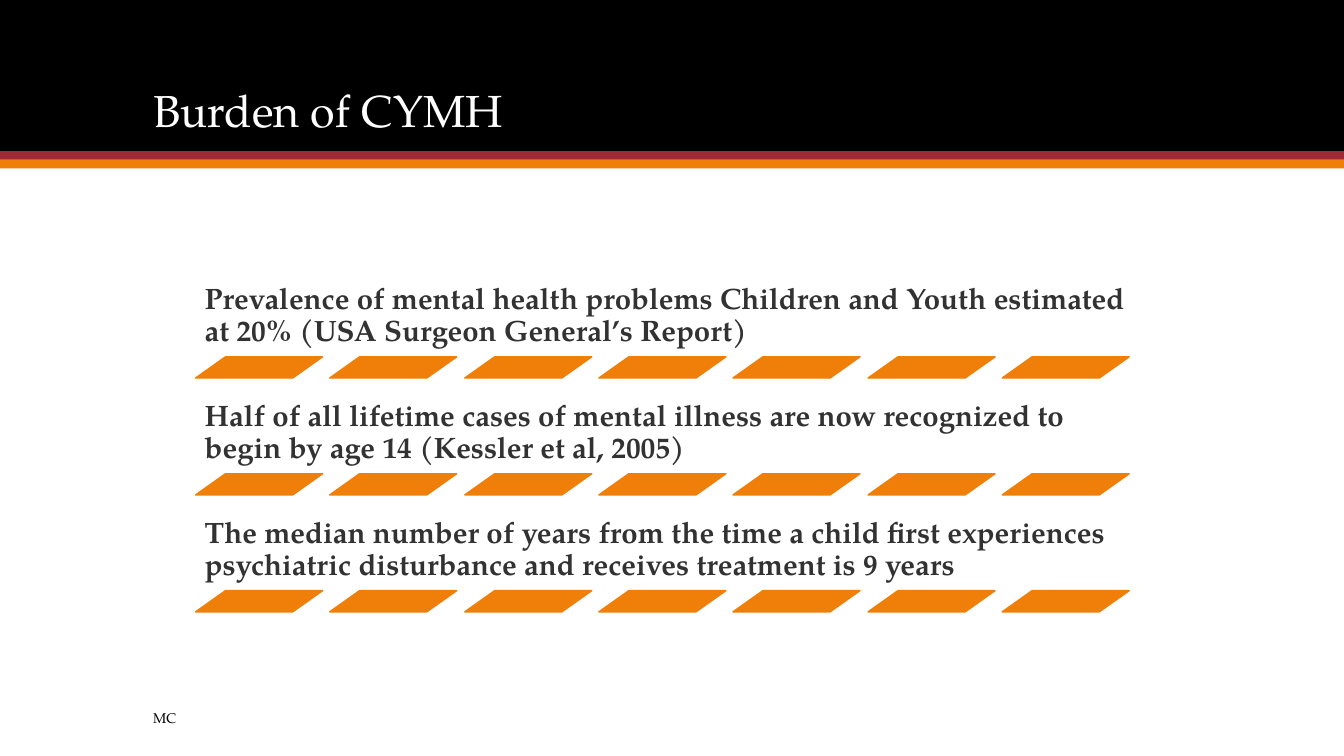
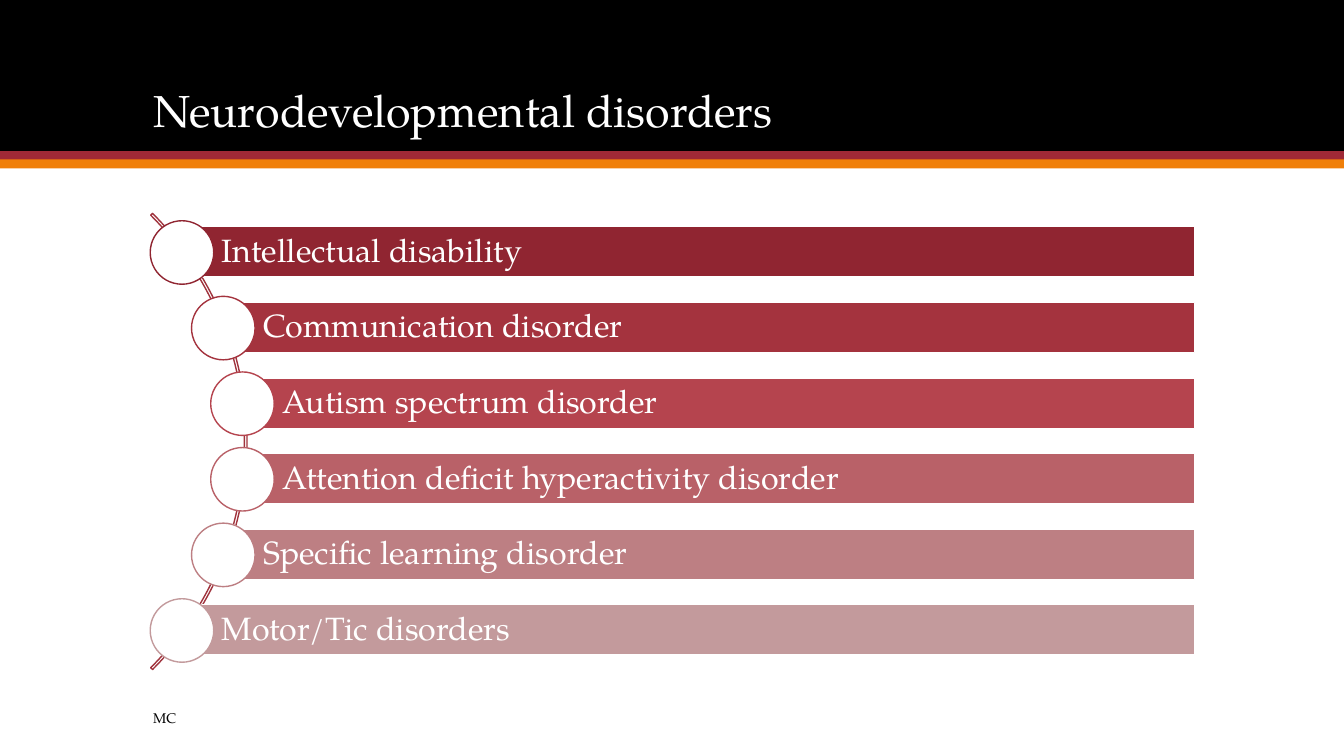
from pptx import Presentation
from pptx.dml.color import RGBColor
from pptx.enum.shapes import MSO_SHAPE
from pptx.enum.text import MSO_ANCHOR, MSO_AUTO_SIZE, PP_ALIGN
from pptx.util import Emu, Pt

EMU_PER_PX = 9144
SLIDE_WIDTH, SLIDE_HEIGHT = 1333, 750
FONT = "TeX Gyre Pagella"
COLORS = {
    "black": "000000",
    "white": "FFFFFF",
    "crimson": "9F2936",
    "orange": "F07F09",
    "body": "323232",
    "arc": "A0333D",
}

FINDINGS = [
    "Prevalence of mental health problems Children and Youth estimated "
    "at 20% (USA Surgeon General’s Report)",
    "Half of all lifetime cases of mental illness are now recognized to "
    "begin by age 14 (Kessler et al, 2005)",
    "The median number of years from the time a child first experiences "
    "psychiatric disturbance and receives treatment is 9 years",
]

# Label, left edge of the bar, bar colour
DISORDERS = [
    ("Intellectual disability", 180, "902531"),
    ("Communication disorder", 221, "A4333E"),
    ("Autism spectrum disorder", 240, "B5444E"),
    ("Attention deficit hyperactivity disorder", 240, "B96168"),
    ("Specific learning disorder", 221, "BD7F83"),
    ("Motor/Tic disorders", 180, "C39A9C"),
]


def px(length):
    return Emu(length * EMU_PER_PX)


def rgb(color):
    """Accept a name from COLORS or a hex string."""
    return RGBColor.from_string(COLORS.get(color, color))


def write_text(shape, text, *, size, color, bold=False, anchor=MSO_ANCHOR.MIDDLE,
               insets=(10, 5, 10, 5), line_spacing=0.9):
    """Fill a shape with one left-aligned paragraph; insets run left, top, right, bottom."""
    frame = shape.text_frame
    frame.auto_size = MSO_AUTO_SIZE.NONE
    frame.word_wrap = True
    frame.vertical_anchor = anchor
    frame.margin_left, frame.margin_top, frame.margin_right, frame.margin_bottom = map(px, insets)
    paragraph = frame.paragraphs[0]
    paragraph.alignment = PP_ALIGN.LEFT
    paragraph.line_spacing = line_spacing
    run = paragraph.add_run()
    run.text = text
    run.font.name = FONT
    run.font.size = Pt(size)
    run.font.bold = bold
    run.font.color.rgb = rgb(color)


def add_text(slide, box, text, **text_format):
    write_text(slide.shapes.add_textbox(*map(px, box)), text, **text_format)


def add_shape(slide, preset, box, *, fill=None, line=None, adjustments=()):
    shape = slide.shapes.add_shape(preset, *map(px, box))
    shape.shadow.inherit = False
    for index, value in enumerate(adjustments):
        shape.adjustments[index] = value
    if fill:
        shape.fill.solid()
        shape.fill.fore_color.rgb = rgb(fill)
    else:
        shape.fill.background()
    if line:
        shape.line.color.rgb = rgb(line)
        shape.line.width = Pt(1)
    else:
        shape.line.fill.background()
    return shape


def add_header_bands(slide):
    """Draw the bands and keep the title in front of them."""
    for top, height, color in [(0, 150, "black"), (150, 9, "crimson"), (158, 9, "orange")]:
        add_shape(slide, MSO_SHAPE.RECTANGLE, (0, top, SLIDE_WIDTH, height), fill=color)
    slide.shapes.element.append(slide.shapes.title.element)


def add_titled_slide(deck, heading):
    """Add a slide with the shared bands, title and footer."""
    slide = deck.slides.add_slide(deck.slide_layouts.get_by_name("Title Only"))
    add_header_bands(slide)
    title = slide.shapes.title
    title.left, title.top, title.width, title.height = map(px, (142, 28, 1050, 113))
    write_text(title, heading, size=32, color="white", anchor=MSO_ANCHOR.BOTTOM)
    add_text(slide, (142, 697, 683, 30), "MC", size=10, color="black", line_spacing=1.0)
    return slide


def add_finding(slide, top, finding):
    """Add a statement underlined by a row of slanted marks."""
    left, height, mark_count, marks_span = 194, 86, 7, 800
    add_text(slide, (left, top, 945, height), finding, size=21, color="body", bold=True,
             anchor=MSO_ANCHOR.BOTTOM, insets=(9, 9, 9, 9))
    for index in range(mark_count):
        mark_left = left + round(index * marks_span / (mark_count - 1))
        add_shape(slide, MSO_SHAPE.PARALLELOGRAM, (mark_left, top + height, 126, 21),
                  fill="orange", line="orange", adjustments=[1.41])


def add_disorder(slide, left, top, label, color):
    """Add a labelled bar with a circle on its left end."""
    right = 1185
    bar = add_shape(slide, MSO_SHAPE.RECTANGLE, (left, top, right - left, 50),
                    fill=color, line="white")
    write_text(bar, label, size=23, color="white", insets=(40, 6, 6, 6))
    add_shape(slide, MSO_SHAPE.OVAL, (left - 31, top - 6, 63, 63), fill="white", line=color)


def build_burden(deck):
    slide = add_titled_slide(deck, "Burden of CYMH")
    for index, finding in enumerate(FINDINGS):
        add_finding(slide, 268 + 116 * index, finding)


def build_disorders(deck):
    slide = add_titled_slide(deck, "Neurodevelopmental disorders")
    # The two angles are 315° and 45° in this scale; the third value is the thickness
    add_shape(slide, MSO_SHAPE.BLOCK_ARC, (-395, 118, 640, 640), line="arc",
              adjustments=[189, 27, 0.004])
    for index, (label, left, color) in enumerate(DISORDERS):
        add_disorder(slide, left, 225 + 75 * index, label, color)


def main():
    deck = Presentation()
    deck.slide_width, deck.slide_height = px(SLIDE_WIDTH), px(SLIDE_HEIGHT)
    build_burden(deck)
    build_disorders(deck)
    deck.save("out.pptx")


if __name__ == "__main__":
    main()
